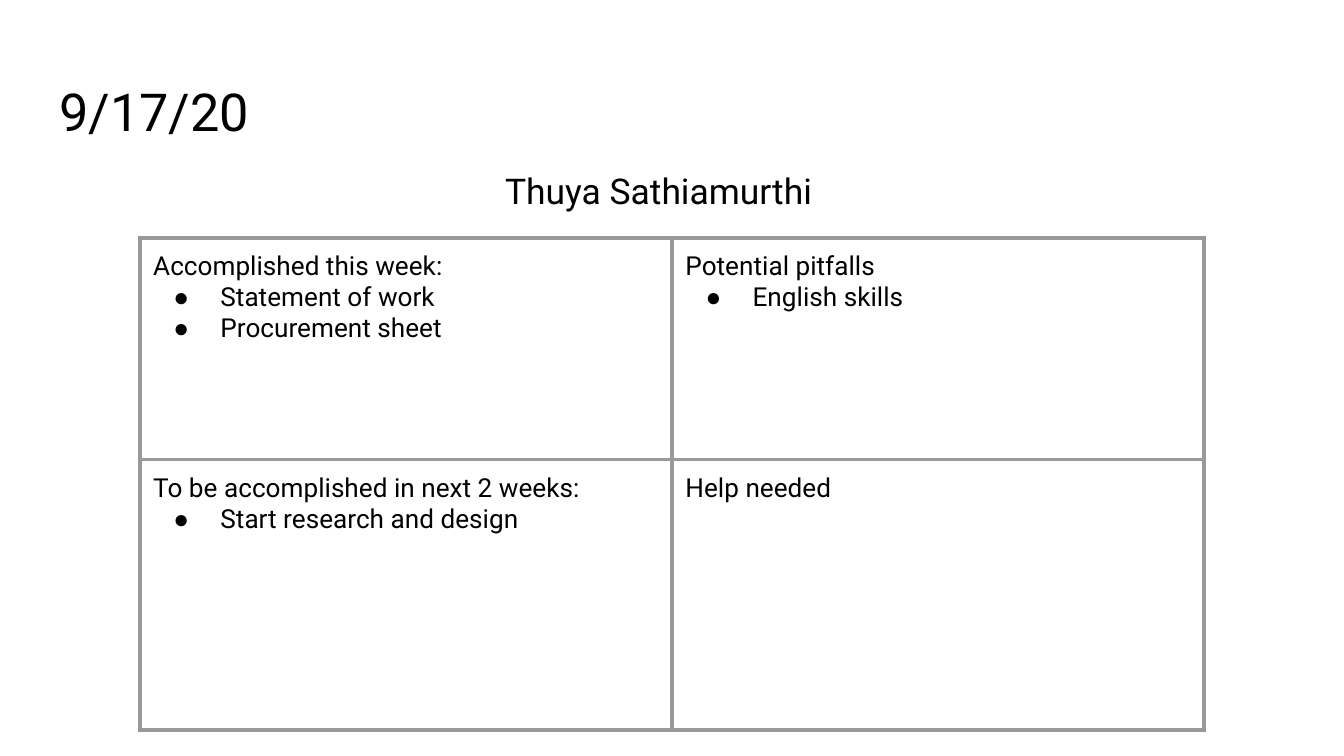
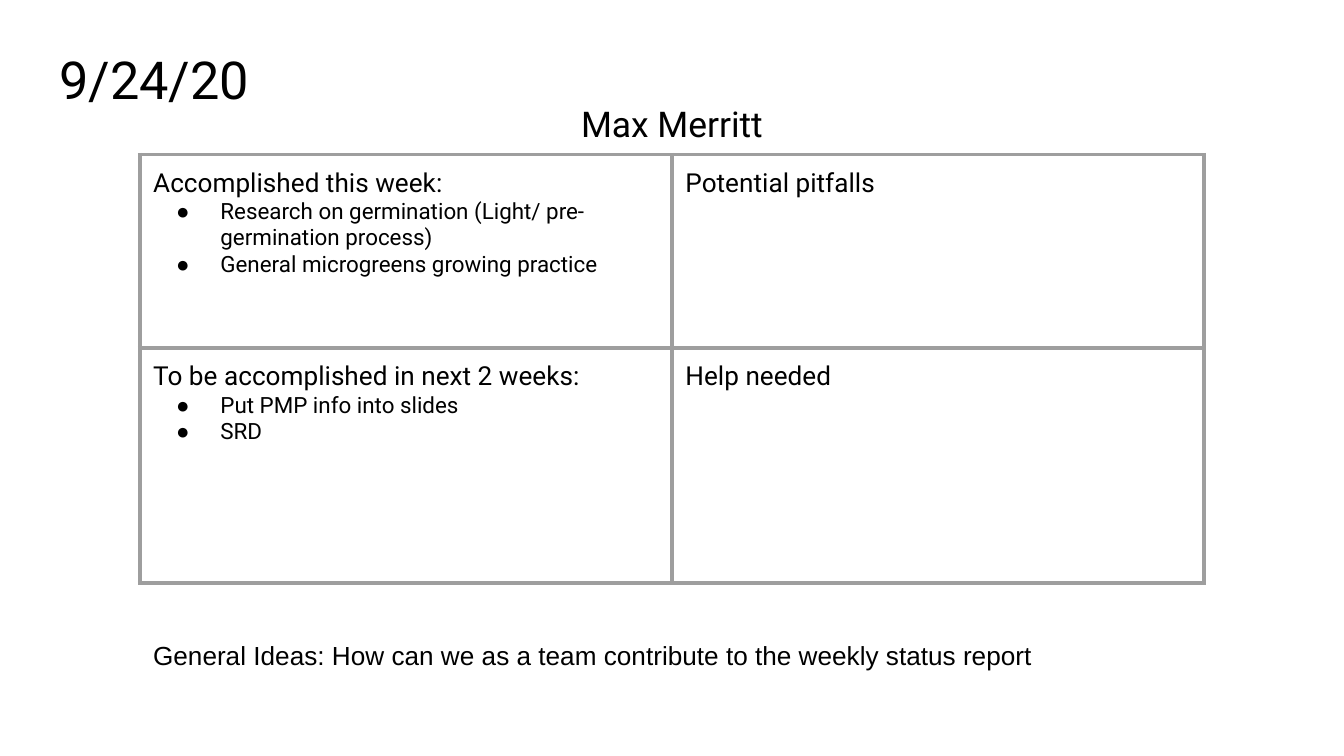
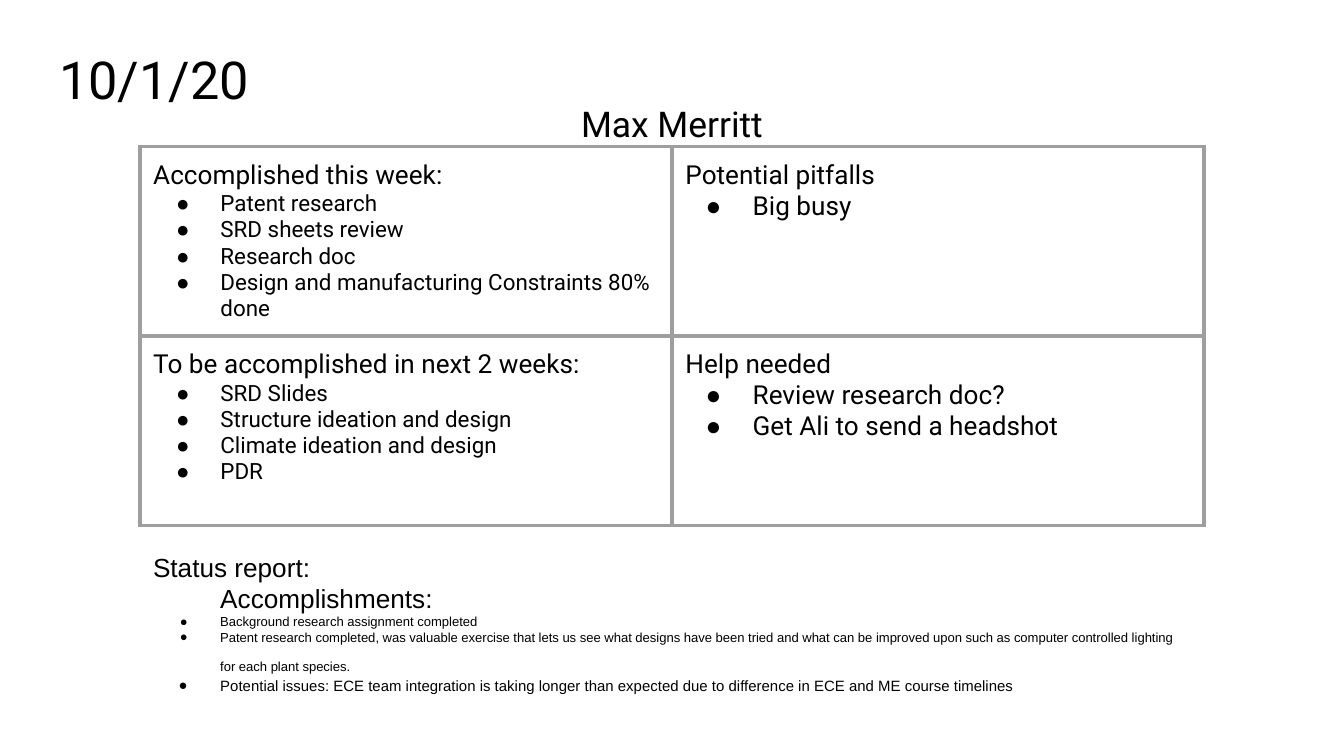
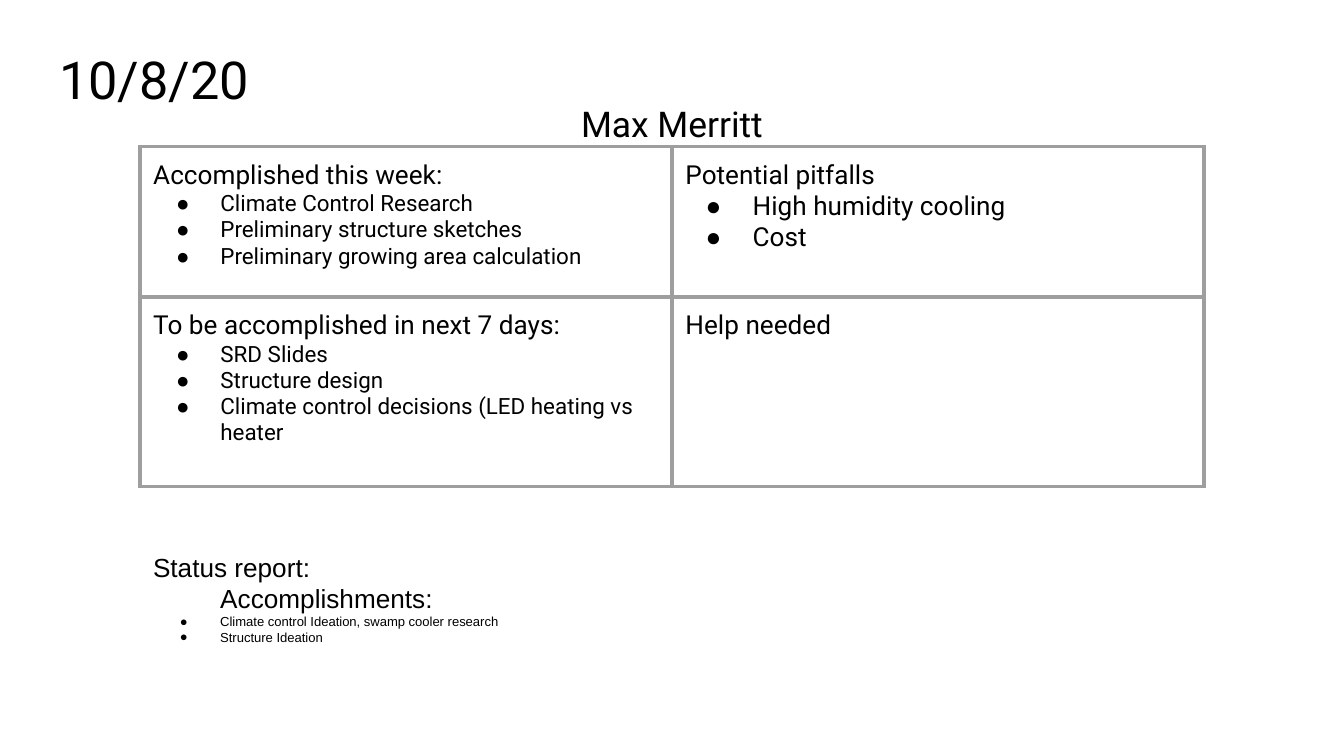
from collections import namedtuple

from lxml import etree
from pptx import Presentation
from pptx.dml.color import RGBColor
from pptx.enum.text import MSO_ANCHOR, MSO_AUTO_SIZE, PP_ALIGN
from pptx.oxml.ns import qn
from pptx.util import Inches, Pt

LEFT, CENTER = PP_ALIGN.LEFT, PP_ALIGN.CENTER
TOP = MSO_ANCHOR.TOP
NO_AUTOFIT = MSO_AUTO_SIZE.NONE

BLACK = RGBColor(0x00, 0x00, 0x00)
WHITE = RGBColor(0xFF, 0xFF, 0xFF)
GRAY = RGBColor(0x99, 0x99, 0x99)
LIGHT_GRAY = RGBColor(0x9E, 0x9E, 0x9E)

HEADING_FONT = "Roboto"
REPORT_FONT = "Arial"
BULLET_FONT = "Arial"
HEADING_SIZE = 14
HANGING = {14: 0.35, 12: 0.33, 8: 0.31, 7: 0.3}
BORDER_TAGS = ("a:lnL", "a:lnR", "a:lnT", "a:lnB")
MARGINS = {f"margin_{side}": Inches(0.1) for side in ("left", "top", "right", "bottom")}

SLIDE_WIDTH = Inches(10)
SLIDE_HEIGHT = SLIDE_WIDTH * 9 // 16
TABLE_LEFT, TABLE_WIDTH = 1.04, 7.92
BOX_WIDTH, TITLE_HEIGHT, BODY_HEIGHT = 9.32, 0.63, 3.74
REPORT_HEIGHT = 0.59

Line = namedtuple("Line", "text size indent bullet tail_size", defaults=(None,))
Week = namedtuple("Week", "date title_top name name_at table_top rows border cells report_top report")


def heading(text, indent=0):
    return Line(text, HEADING_SIZE, indent, False)


def bullets(size, *texts):
    return [Line(text, size, 0.5, True) for text in texts]


def set_values(target, values):
    for name, value in values.items():
        setattr(target, name, value)


def add_run(paragraph, text, size, font_name):
    run = paragraph.add_run()
    run.text = text
    set_values(run.font, {"name": font_name, "size": Pt(size), "bold": False})
    run.font.color.rgb = BLACK


def set_indent(paragraph, line):
    properties = paragraph._p.get_or_add_pPr()
    hanging = HANGING[line.size] if line.bullet else 0
    properties.set("marL", str(Inches(line.indent)))
    properties.set("indent", str(-Inches(hanging)))
    if not line.bullet:
        etree.SubElement(properties, qn("a:buNone"))
        return
    color = etree.SubElement(properties, qn("a:buClr"))
    etree.SubElement(color, qn("a:srgbClr"), val=str(BLACK))
    etree.SubElement(properties, qn("a:buFont"), typeface=BULLET_FONT)
    etree.SubElement(properties, qn("a:buChar"), char="●")


def write_lines(text_frame, lines, font_name):
    for number, line in enumerate(lines):
        paragraph = text_frame.add_paragraph() if number else text_frame.paragraphs[0]
        set_indent(paragraph, line)
        add_run(paragraph, line.text, line.size, font_name)
        if line.tail_size:
            add_run(paragraph, " ", line.tail_size, font_name)


def format_frame(text_frame):
    set_values(text_frame, {"word_wrap": True, "auto_size": NO_AUTOFIT,
                            "vertical_anchor": TOP, **MARGINS})


def fill_placeholder(placeholder, box, text, size, paragraph_format):
    left, top, width, height = map(Inches, box)
    set_values(placeholder, {"left": left, "top": top, "width": width, "height": height})
    format_frame(placeholder.text_frame)
    write_lines(placeholder.text_frame, [Line(text, size, 0, False)], HEADING_FONT)
    set_values(placeholder.text_frame.paragraphs[0],
               {"space_before": Pt(0), **paragraph_format})


def set_borders(cell, color):
    properties = cell._tc.get_or_add_tcPr()
    for position, tag in enumerate(BORDER_TAGS):
        border = etree.Element(qn(tag), w=str(Pt(2.25)))
        fill = etree.SubElement(border, qn("a:solidFill"))
        etree.SubElement(fill, qn("a:srgbClr"), val=str(color))
        properties.insert(position, border)


def add_status_table(slide, left, top, width, row_heights, border, cells):
    frame = slide.shapes.add_table(2, 2, Inches(left), Inches(top),
                                   Inches(width), Inches(sum(row_heights)))
    table = frame.table
    set_values(table, {"first_row": False, "horz_banding": False})
    for column in table.columns:
        column.width = Inches(width / 2)
    for row, height in zip(table.rows, row_heights):
        row.height = Inches(height)
    for cell, lines in zip(table.iter_cells(), cells):
        set_values(cell, MARGINS)
        cell.fill.background()
        set_borders(cell, border)
        write_lines(cell.text_frame, lines, HEADING_FONT)


def add_report(slide, left, top, width, lines):
    box = slide.shapes.add_textbox(Inches(left), Inches(top),
                                   Inches(width), Inches(REPORT_HEIGHT))
    format_frame(box.text_frame)
    write_lines(box.text_frame, lines, REPORT_FONT)


def add_week_slide(presentation, week):
    slide = presentation.slides.add_slide(presentation.slide_layouts[1])
    slide.background.fill.solid()
    slide.background.fill.fore_color.rgb = WHITE
    fill_placeholder(slide.shapes.title, (0.34, week.title_top, BOX_WIDTH, TITLE_HEIGHT),
                     week.date, 28, {"alignment": LEFT})
    fill_placeholder(slide.placeholders[1], (*week.name_at, BOX_WIDTH, BODY_HEIGHT),
                     week.name, 19,
                     {"alignment": CENTER, "line_spacing": 1.15, "space_after": Pt(16)})
    add_status_table(slide, TABLE_LEFT, week.table_top, TABLE_WIDTH,
                     week.rows, week.border, week.cells)
    if week.report:
        add_report(slide, TABLE_LEFT, week.report_top, TABLE_WIDTH, week.report)


def status_cells(accomplished, pitfalls, upcoming, help_needed, period="2 weeks"):
    return [
        [heading("Accomplished this week:"), *accomplished],
        [heading("Potential pitfalls"), *pitfalls],
        [heading(f"To be accomplished in next {period}:"), *upcoming],
        [heading("Help needed"), *help_needed],
    ]


def max_week(date, table_top, rows, cells, report_top, report):
    return Week(date, 0.25, "Max Merritt", (0.34, 0.61), table_top, rows,
                LIGHT_GRAY, cells, report_top, report)


REPORT_HEADINGS = [heading("Status report:"), heading("Accomplishments:", 0.5)]

WEEKS = [
    Week("9/17/20", 0.49, "Thuya Sathiamurthi", (0.24, 1.11), 1.77, (1.65, 2.01), GRAY,
         status_cells(bullets(14, "Statement of work", "Procurement sheet"),
                      bullets(14, "English skills"),
                      bullets(14, "Start research and design"), []),
         None, []),
    max_week("9/24/20", 1.15, (1.44, 1.75),
             status_cells(bullets(12, "Research on germination (Light/ pre-germination process)",
                                  "General microgreens growing practice"),
                          [],
                          bullets(12, "Put PMP info into slides", "SRD"), []),
             4.66,
             [heading("General Ideas: How can we as a team contribute to the weekly status report")]),
    max_week("10/1/20", 1.09, (1.41, 1.41),
             status_cells(bullets(12, "Patent research", "SRD sheets review", "Research doc",
                                  "Design and manufacturing Constraints 80% done"),
                          bullets(14, "Big busy"),
                          bullets(12, "SRD Slides", "Structure ideation and design",
                                  "Climate ideation and design", "PDR"),
                          bullets(14, "Review research doc?", "Get Ali to send a headshot")),
             4,
             [*REPORT_HEADINGS,
              *bullets(7, "Background research assignment completed"),
              Line("Patent research completed, was valuable exercise that lets us see what "
                   "designs have been tried and what can be improved upon such as computer "
                   "controlled lighting for each plant species.", 7, 0.5, True, 14),
              *bullets(8, "Potential issues: ECE team integration is taking longer than "
                          "expected due to difference in ECE and ME course timelines")]),
    max_week("10/8/20", 1.09, (1.12, 1.41),
             status_cells(bullets(12, "Climate Control Research",
                                  "Preliminary structure sketches",
                                  "Preliminary growing area calculation"),
                          bullets(14, "High humidity cooling", "Cost"),
                          bullets(12, "SRD Slides", "Structure design",
                                  "Climate control decisions (LED heating vs heater"),
                          [], "7 days"),
             4,
             [*REPORT_HEADINGS,
              *bullets(7, "Climate control Ideation, swamp cooler research",
                       "Structure Ideation")]),
]


def main():
    presentation = Presentation()
    set_values(presentation, {"slide_width": SLIDE_WIDTH, "slide_height": SLIDE_HEIGHT})
    for week in WEEKS:
        add_week_slide(presentation, week)
    presentation.save("out.pptx")


if __name__ == "__main__":
    main()
